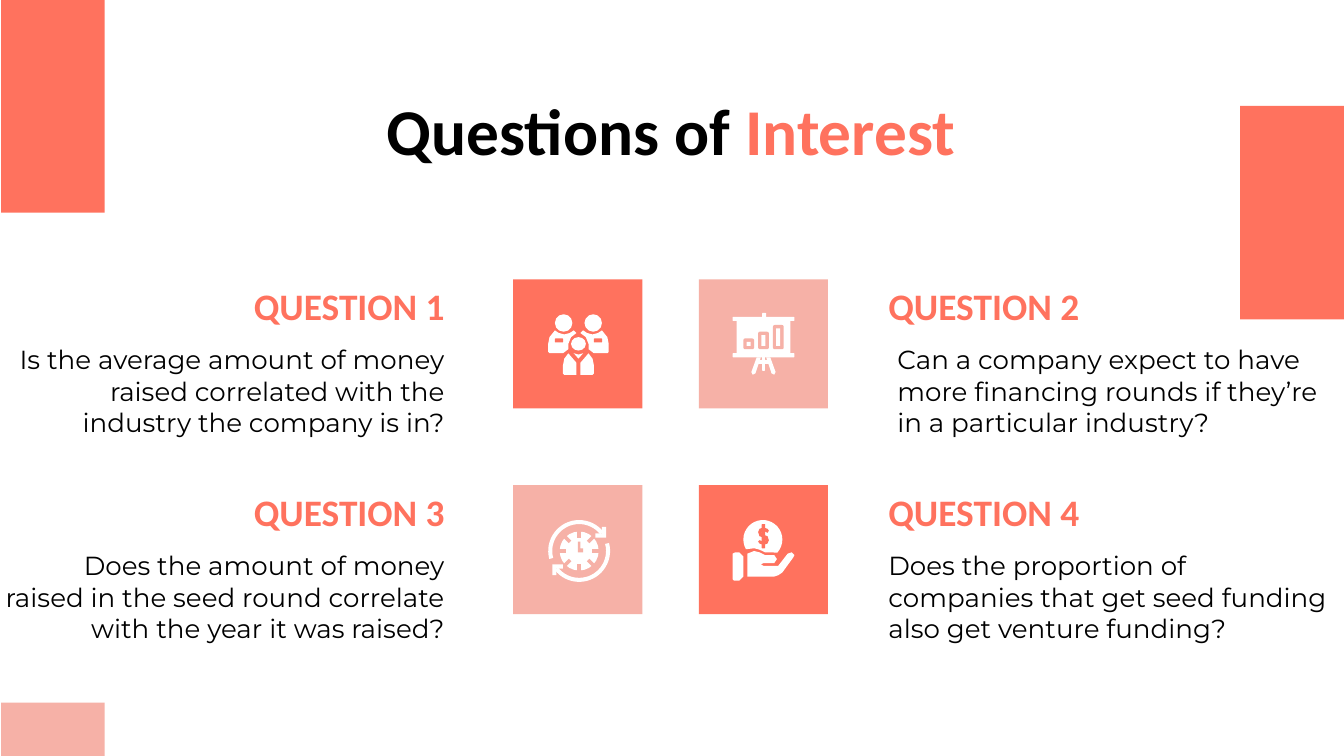
from math import cos, radians, sin

from pptx import Presentation
from pptx.dml.color import RGBColor
from pptx.enum.shapes import MSO_SHAPE
from pptx.enum.text import MSO_ANCHOR, MSO_AUTO_SIZE, PP_ALIGN
from pptx.util import Cm, Pt

COLORS = {"coral": "FF725E", "blush": "F6B1A7", "white": "FFFFFF", "black": "000000"}
HEADING = {"name": "Calibri", "size": Pt(20), "bold": True}
QUESTION = {"name": "Montserrat", "size": Pt(14), "bold": False}
TITLE = {"name": "Calibri", "size": Pt(35), "bold": True}
PRESETS = {"oval": MSO_SHAPE.OVAL, "rect": MSO_SHAPE.RECTANGLE,
           "round": MSO_SHAPE.ROUNDED_RECTANGLE}
TILE = 2.44
GRID = 96  # icon units along one tile side


def rgb(color):
    return RGBColor.from_string(COLORS[color])


def paint(shape, color):
    shape.shadow.inherit = False
    shape.fill.solid()
    shape.fill.fore_color.rgb = rgb(color)
    shape.line.fill.background()


def add_block(slide, box, color, kind="rect"):
    block = slide.shapes.add_shape(PRESETS[kind], *[Cm(length) for length in box])
    paint(block, color)


def write(frame, runs, style, align, anchor):
    settings = {"word_wrap": True, "auto_size": MSO_AUTO_SIZE.NONE,
                "vertical_anchor": anchor}
    settings.update({f"margin_{side}": Cm(0.25)
                     for side in ("left", "right", "top", "bottom")})
    for key, value in settings.items():
        setattr(frame, key, value)
    paragraph = frame.paragraphs[0]
    paragraph.alignment = align
    for words, color in runs:
        run = paragraph.add_run()
        run.text = words
        for key, value in style.items():
            setattr(run.font, key, value)
        run.font.color.rgb = rgb(color)


def add_words(slide, box, words, color, style, align, anchor):
    label = slide.shapes.add_textbox(*[Cm(length) for length in box])
    write(label.text_frame, [(words, color)], style, align, anchor)


# Icon geometry: each part is (kind, coordinates, colour) on the tile grid
def arc(x, y, radius, start, end, steps=24):
    angles = [radians(start + (end - start) * i / steps) for i in range(steps + 1)]
    return [(x + radius * cos(a), y + radius * sin(a)) for a in angles]


def mirror(points, width):
    return [(width - x, y) for x, y in points]


def half_turn(points, size):
    return [(size - x, size - y) for x, y in points]


def team_icon(tile):
    shoulders = [(31, 38), (27, 43), (26, 48), (26, 54), (27, 55), (37, 55), (41, 52),
                 (41, 48), (43, 43), (47, 40), (45, 38), (42, 40), (38, 41), (34, 40)]
    torso = [(41, 55), (38, 59), (37, 64), (37, 70), (38, 71), (47, 71), (47, 62)]
    tie = [(45, 55), (48.5, 59), (52, 55), (48.5, 56)]
    parts = [("oval", box, "white") for box in
             [(31, 26, 13, 13), (53, 26, 13, 13), (43, 43, 11, 10)]]
    for half in (shoulders, torso):
        parts += [("poly", half, "white"), ("poly", mirror(half, 97), "white")]
    badges = [("round", (x, 44, 6, 3), tile) for x in (31, 60)]
    return parts + [("poly", tie, "white")] + badges


def board_icon(tile):
    leg = [(43, 58), (39, 69), (40, 71), (42, 70), (46, 58)]
    parts = [("round", (25, 28, 46, 3), "white"), ("rect", (28, 30, 40, 26), "white"),
             ("round", (25, 55, 46, 3), "white"), ("round", (47, 25, 3, 5), "white"),
             ("rect", (44, 60, 8, 3), "white"), ("round", (47, 57, 2, 11), "white"),
             ("poly", leg, "white"), ("poly", mirror(leg, 96), "white")]
    for x, top in ((33, 44), (44, 39), (55, 34)):
        parts += [("round", (x, top, 8, 52 - top), tile),
                  ("rect", (x + 2.5, top + 2.5, 3, 47 - top), "white")]
    return parts


def clock_icon(tile):
    center = 49
    ring = arc(center, center, 23, 165, 322) + arc(center, center, 20, 322, 165)
    arrow = [(61, 36), (61, 39), (69, 39), (69, 31), (66, 31), (66, 36)]
    hands = [(48, 42), (50, 42), (50, 47), (52, 47), (52, 50), (48, 50)]
    parts = [("oval", (34.5, 34.5, 29, 29), "white")]
    for curve in (ring, arrow):
        parts += [("poly", curve, "white"),
                  ("poly", half_turn(curve, 2 * center), "white")]
    for angle in range(0, 360, 45):
        dx, dy = cos(radians(angle)), sin(radians(angle))
        tick = [(center + r * dx - w * dy, center + r * dy + w * dx)
                for r, w in ((9.5, -1.3), (15, -1.3), (15, 1.3), (9.5, 1.3))]
        parts.append(("poly", tick, tile))
    return parts + [("poly", hands, tile)]


def funding_icon(tile):
    coin = arc(47.5, 40.5, 14.5, 150, 402) + [(49, 50), (45, 48), (41, 47)]
    dollar = [(52, 34), (51, 35.5), (48, 34), (46.5, 35), (48, 37), (51, 38), (52, 41),
              (51, 43.5), (48, 44.5), (45, 43.5), (44, 42), (45, 41), (48, 42),
              (49.5, 41), (48, 39), (45, 38), (44, 35), (45, 32.5), (48, 31.5), (51, 32.5)]
    cuff = [(25, 51), (27, 50), (30, 50), (33, 53), (33, 68), (30, 71), (26, 71), (25, 70)]
    palm = [(36, 51), (41, 49), (45, 50), (49, 52), (56, 52), (58, 55), (56, 58),
            (48, 58), (46, 59), (48, 60), (57, 60), (59, 60), (66, 51), (69, 50),
            (71, 52), (70, 54), (62, 65), (59, 67), (56, 68), (36, 68)]
    return [("poly", coin, "white"), ("poly", dollar, tile),
            ("round", (46.7, 29, 2.6, 18), tile),
            ("poly", cuff, "white"), ("poly", palm, "white")]


# Regions
def add_icon_tile(slide, left, top, color, icon):
    unit = TILE / GRID
    add_block(slide, (left, top, TILE, TILE), color)
    for kind, coords, fill in icon(color):
        if kind == "poly":
            points = [(Cm(left + x * unit), Cm(top + y * unit)) for x, y in coords]
            builder = slide.shapes.build_freeform(*points[0])
            builder.add_line_segments(points[1:])
            paint(builder.convert_to_shape(), fill)
        else:
            x, y, width, height = [value * unit for value in coords]
            add_block(slide, (left + x, top + y, width, height), fill, kind)


def add_question(slide, top, heading, heading_span, question, question_span, align):
    for words, (left, width), offset, height, color, style, anchor in (
            (heading, heading_span, 0, 1.24, "coral", HEADING, MSO_ANCHOR.BOTTOM),
            (question, question_span, 1.04, 1.57, "black", QUESTION, MSO_ANCHOR.TOP)):
        add_words(slide, (left, top + offset, width, height), words, color, style,
                  align, anchor)


def add_title(slide, box):
    title = slide.shapes.title
    for key, length in zip(("left", "top", "width", "height"), box):
        setattr(title, key, Cm(length))
    write(title.text_frame, [("Questions of", "black"), (" Interest", "coral")],
          TITLE, PP_ALIGN.CENTER, MSO_ANCHOR.MIDDLE)


def main():
    deck = Presentation()
    deck.slide_width, deck.slide_height = Cm(25.4), Cm(14.29)
    slide = deck.slides.add_slide(deck.slide_layouts[5])

    # Corner blocks
    for left, top, height, color in ((0.02, -0.02, 4.04, "coral"),
                                     (23.44, 2, 4.04, "coral"),
                                     (0.02, 13.28, 1.01, "blush")):
        add_block(slide, (left, top, 1.96, height), color)

    add_title(slide, (1.65, 1.83, 22.07, 1.24))

    # Two by two questions around the icon tiles
    left_heading, right_heading = (2.56, 6.1), (16.54, 6.22)
    questions = [
        ("Is the average amount of money raised correlated with the industry "
         "the company is in?", (0, 8.66), "coral", team_icon),
        ("Can a company expect to have more financing rounds if they’re in a "
         "particular industry?", (16.71, 8.66), "blush", board_icon),
        ("Does the amount of money raised in the seed round correlate with the "
         "year it was raised?", (-0.2, 8.86), "blush", clock_icon),
        ("Does the proportion of companies that get seed funding also get "
         "venture funding?", (16.54, 8.86), "coral", funding_icon),
    ]
    for index, (question, span, color, icon) in enumerate(questions):
        row, column = divmod(index, 2)
        add_question(slide, 5.21 + 3.89 * row, f"QUESTION {index + 1}",
                     (left_heading, right_heading)[column], question, span,
                     (PP_ALIGN.RIGHT, PP_ALIGN.LEFT)[column])
        add_icon_tile(slide, 9.7 + 3.51 * column, 5.28 + 3.89 * row, color, icon)

    deck.save("out.pptx")


if __name__ == "__main__":
    main()
